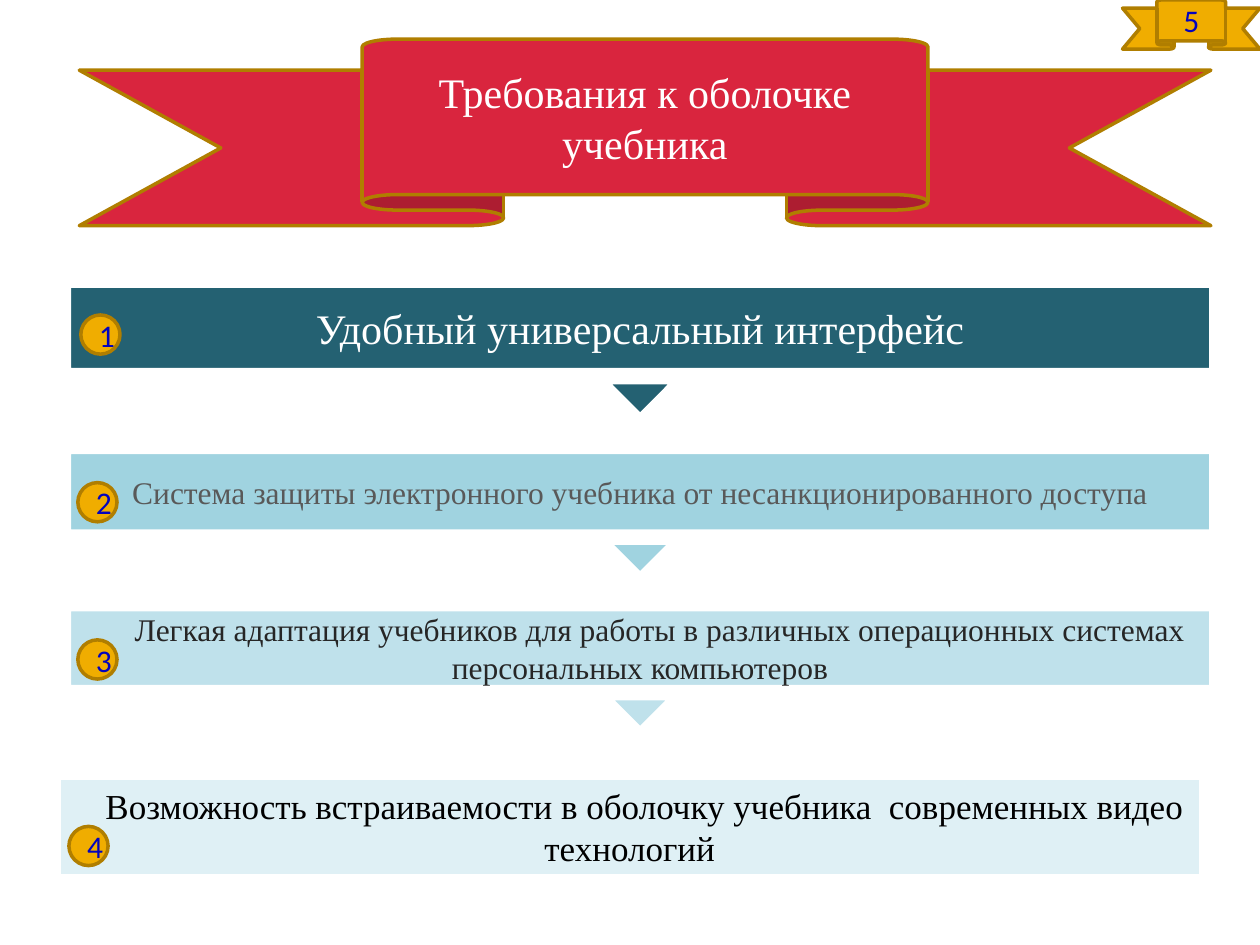
from dataclasses import dataclass

from pptx import Presentation
from pptx.dml.color import RGBColor
from pptx.enum.shapes import MSO_SHAPE as Kind
from pptx.enum.text import MSO_ANCHOR as Anchor, MSO_AUTO_SIZE as Fit, PP_ALIGN as Align
from pptx.util import Cm, Pt

SERIF, SANS = "Times New Roman", "Calibri"
GOLD, EDGE, RED, BLUE, WHITE = "F0AD00", "B07E00", "D9253E", "0303BD", "FFFFFF"
BAR_WIDTH, DOT = 23.01, 0.79


@dataclass
class Bar:
    """One requirement; lengths in cm, dot offsets from the bar's corner."""
    text: str
    left: float
    top: float
    height: float
    fill: str
    ink: str
    size: int
    dot_x: float
    dot_y: float
    indent: float = 0
    arrow: bool = True


BARS = [
    Bar("Удобный универсальный интерфейс",
        1.4, 5.77, 2.59, "246172", WHITE, 24, 0.23, 0.58),
    Bar("Система защиты электронного учебника от несанкционированного доступа",
        1.4, 9.12, 2.44, "A0D3E0", "595959", 18, 0.17, 0.61),
    Bar("Легкая адаптация учебников для работы в различных операционных "
        "системах персональных компьютеров",
        1.4, 12.29, 2.39, "BFE1EB", "262626", 18, 0.17, 0.61, indent=0.8),
    Bar("Возможность встраиваемости в оболочку учебника  современных видео технологий",
        1.19, 15.68, 1.98, "DFF0F5", "000000", 20, 0.2, 0.98, indent=0.6, arrow=False),
]


def color(code: str) -> RGBColor:
    return RGBColor.from_string(code)


def write(shape, text: str, size: int, font: str, ink: str, indent: float = 0) -> None:
    frame = shape.text_frame
    frame.text = text
    frame.word_wrap = True
    frame.auto_size = Fit.NONE
    frame.vertical_anchor = Anchor.MIDDLE
    line = frame.paragraphs[0]
    line.alignment = Align.CENTER
    if indent:
        line._p.get_or_add_pPr().set("indent", str(Cm(indent)))
    line.font.size = Pt(size)
    line.font.name = font
    line.font.color.rgb = color(ink)


def draw(slide, kind: Kind, left: float, top: float, width: float, height: float,
         fill: str, edge: str):
    shape = slide.shapes.add_shape(kind, Cm(left), Cm(top), Cm(width), Cm(height))
    shape.shadow.inherit = False
    shape.fill.solid()
    shape.fill.fore_color.rgb = color(fill)
    shape.line.color.rgb = color(edge)
    shape.line.width = Pt(2)
    return shape


def add_bar(slide, bar: Bar, number: int) -> None:
    kind = Kind.DOWN_ARROW_CALLOUT if bar.arrow else Kind.RECTANGLE
    box = draw(slide, kind, bar.left, bar.top, BAR_WIDTH, bar.height, bar.fill, WHITE)
    if bar.arrow:
        # A shaft without width leaves only the arrow's head
        for i, value in enumerate((-0.217, 0.25, 0.25, 0.65)):
            box.adjustments[i] = value
    write(box, bar.text, bar.size, SERIF, bar.ink, bar.indent)
    dot = draw(slide, Kind.FLOWCHART_CONNECTOR, bar.left + bar.dot_x,
               bar.top + bar.dot_y, DOT, DOT, GOLD, EDGE)
    write(dot, str(number), 18, SANS, BLUE)


def add_ribbon(slide, left: float, top: float, width: float, height: float, fill: str):
    ribbon = draw(slide, Kind.UP_RIBBON, left, top, width, height, fill, EDGE)
    ribbon.adjustments[0] = 0.16667
    ribbon.adjustments[1] = 0.5
    return ribbon


def main() -> None:
    deck = Presentation()
    deck.slide_width, deck.slide_height = Cm(25.4), Cm(19.05)
    slide = deck.slides.add_slide(deck.slide_layouts[5])

    # Title on the middle panel of its ribbon
    add_ribbon(slide, 1.6, 0.79, 22.81, 3.76, RED)
    title = slide.shapes.title
    title.left, title.top, title.width, title.height = Cm(7.3), Cm(0.79), Cm(11.4), Cm(3.15)
    write(title, "Требования к оболочке учебника", 24, SERIF, WHITE)
    title.element.getparent().append(title.element)  # bring to front

    # Page number
    page = add_ribbon(slide, 22.63, 0, 2.77, 0.99, GOLD)
    write(page, "5", 18, SANS, BLUE)

    # Numbered requirements
    for number, bar in enumerate(BARS, 1):
        add_bar(slide, bar, number)

    deck.save("out.pptx")


if __name__ == "__main__":
    main()
